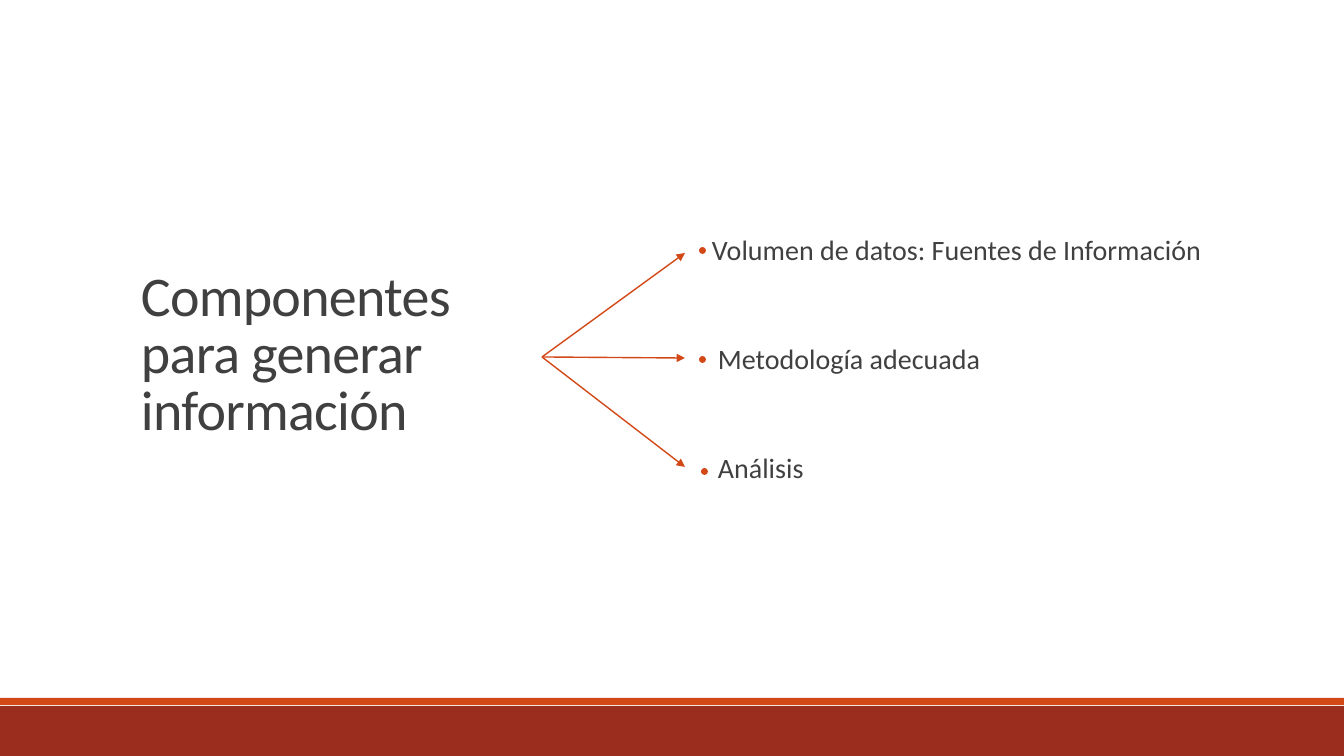
from dataclasses import dataclass

from lxml.etree import SubElement
from pptx import Presentation
from pptx.dml.color import RGBColor
from pptx.enum.shapes import MSO_CONNECTOR, MSO_SHAPE
from pptx.enum.text import MSO_ANCHOR
from pptx.oxml.ns import qn
from pptx.util import Emu, Pt

TITLE = "Componentes para generar información"
# label, left of its text, left and top of its dot, height of its arrow tip
COMPONENTS = [
    ("Volumen de datos: Fuentes de Información", 712, 700, 248, 253),
    ("Metodología adecuada", 718, 700, 357, 358),
    ("Análisis", 718, 702, 469, 467),
]


@dataclass(frozen=True)
class Theme:
    font: str = "Calibri"
    ink: RGBColor = RGBColor(0x40, 0x40, 0x40)
    accent: RGBColor = RGBColor(0xD3, 0x48, 0x17)
    band: RGBColor = RGBColor(0x9B, 0x2D, 0x1F)
    title_size: int = 40
    body_size: int = 20


THEME = Theme()
WIDTH, HEIGHT = 1344, 756
FIRST_ROW, ROW_PITCH = 231, 109
ARROW_START, ARROW_END_X = (542, 357), 685
DOT = 5


def px(length):
    return Emu(round(length * 914400 / 100.8))


def add_text(slide, text, box, *, size, line_spacing, inset=0,
             anchor=MSO_ANCHOR.TOP, tracking=0):
    frame = slide.shapes.add_textbox(*map(px, box)).text_frame
    frame.word_wrap = True
    frame.vertical_anchor = anchor
    frame.margin_left = frame.margin_right = px(inset)
    frame.margin_top = frame.margin_bottom = px(5)
    paragraph = frame.paragraphs[0]
    paragraph.line_spacing = line_spacing
    run = paragraph.add_run()
    run.text = text
    run.font.name = THEME.font
    run.font.size = Pt(size)
    run.font.color.rgb = THEME.ink
    if tracking:
        run.font._element.set("spc", str(round(tracking * 100)))


def add_filled(slide, preset, box, color, outline=0):
    shape = slide.shapes.add_shape(preset, *map(px, box))
    shape.shadow.inherit = False
    shape.fill.solid()
    shape.fill.fore_color.rgb = color
    if outline:
        shape.line.color.rgb = color
        shape.line.width = Pt(outline)
    else:
        shape.line.fill.background()


def add_arrow(slide, start, end):
    arrow = slide.shapes.add_connector(MSO_CONNECTOR.STRAIGHT, *map(px, start + end))
    arrow.line.color.rgb = THEME.accent
    arrow.line.width = Pt(1)
    SubElement(arrow.line._get_or_add_ln(), qn("a:tailEnd"), type="triangle")
    SubElement(arrow._element.spPr, qn("a:effectLst"))


def main():
    deck = Presentation()
    deck.slide_width, deck.slide_height = px(WIDTH), px(HEIGHT)
    slide = deck.slides.add_slide(deck.slide_layouts[6])

    add_filled(slide, MSO_SHAPE.RECTANGLE, (0, 706, WIDTH, HEIGHT - 706), THEME.band)
    add_filled(slide, MSO_SHAPE.RECTANGLE, (0, 698, WIDTH, 7), THEME.accent)
    add_text(slide, TITLE, (131, 265, 411, 182), size=THEME.title_size,
             line_spacing=0.85, inset=10, anchor=MSO_ANCHOR.BOTTOM, tracking=-0.5)

    for row, (label, text_left, dot_left, dot_top, tip) in enumerate(COMPONENTS):
        add_text(slide, label, (text_left, FIRST_ROW + row * ROW_PITCH, 602, 45),
                 size=THEME.body_size, line_spacing=0.9)
        add_filled(slide, MSO_SHAPE.OVAL, (dot_left, dot_top, DOT, DOT),
                   THEME.accent, outline=1.25)
        add_arrow(slide, ARROW_START, (ARROW_END_X, tip))

    deck.save("out.pptx")


if __name__ == "__main__":
    main()
